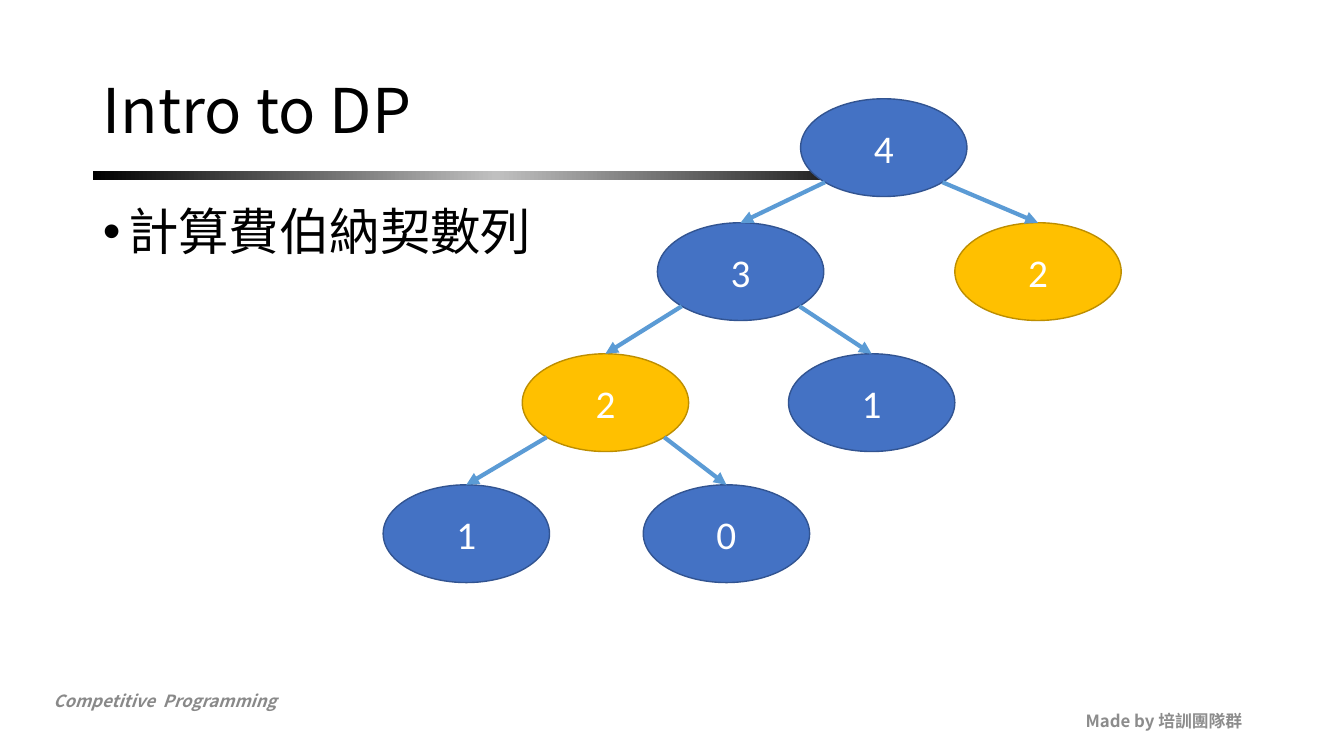
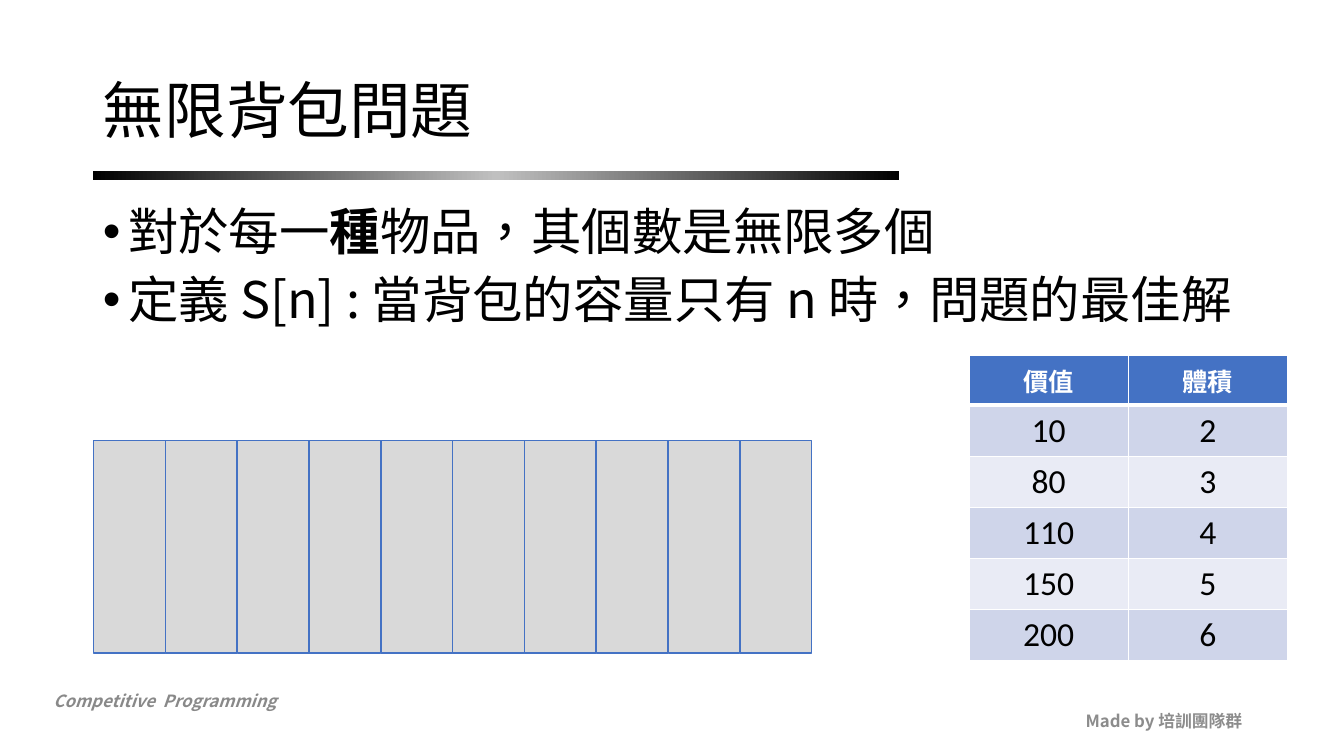
"""Build two slides on dynamic programming: a Fibonacci call tree and the unbounded knapsack."""
from lxml.etree import SubElement
from pptx import Presentation
from pptx.dml.color import RGBColor
from pptx.enum.shapes import MSO_CONNECTOR as Connector, MSO_SHAPE as Shape
from pptx.enum.text import MSO_ANCHOR as Anchor, MSO_AUTO_SIZE as AutoSize, PP_ALIGN as Align
from pptx.oxml.ns import qn
from pptx.util import Emu, Pt

PX = 9144
CJK, LATIN = "Noto Sans CJK SC", "Calibri"
BLACK, WHITE, BLUE, GOLD = "000000", "FFFFFF", "4472C4", "FFC000"
EDGES = {BLUE: "325491", GOLD: "BD8E00"}
ARROW, BOX_FILL = "5B9BD5", "D9D9D9"
BANDS = ("CFD5EA", "E9EBF5")

TITLE_AT, BODY_AT = (92, 40, 1150, 145), (92, 200, 1150, 476)
RULE_AT = (92, 170, 800, 9)
RULE_STOPS = [(0, BLACK), (50, "C0C0C0"), (100, BLACK)]
FOOTERS = [
    ("Competitive  Programming", (43, 680, 425, 30), Align.LEFT, Anchor.TOP, "898989", True),
    ("Made by 培訓團隊群", (942, 695, 300, 40), Align.RIGHT, Anchor.MIDDLE, "8C8C8C", False),
]

TREE_TITLE = "Intro to DP"
TREE_POINTS = [[("計算費伯納契數列", False)]]
NODE_SIZE = (165, 97)
NODES = {
    "root": ("4", 794, 98, BLUE),
    "right": ("2", 947, 221, GOLD),
    "left": ("3", 652, 221, BLUE),
    "left left": ("2", 518, 351, GOLD),
    "left right": ("1", 782, 351, BLUE),
    "leaf one": ("1", 380, 481, BLUE),
    "leaf zero": ("0", 638, 481, BLUE),
}
CALLS = [
    ("root", "left", "right"),
    ("left", "left left", "left right"),
    ("left left", "leaf one", "leaf zero"),
]

KNAPSACK_TITLE = "無限背包問題"
KNAPSACK_POINTS = [
    [("對於每一", False), ("種", True), ("物品，其個數是無限多個", False)],
    [("定義 S[n] : 當背包的容量只有 n 時，問題的最佳解", False)],
]
ITEMS = [("價值", "體積"), ("10", "2"), ("80", "3"), ("110", "4"), ("150", "5"), ("200", "6")]
TABLE_LEFT, TABLE_TOP, COLUMN_WIDTH, ROW_HEIGHT = 961, 353, 158, 49
BOX_COUNT, BOX_LEFT, BOX_LAST, BOX_TOP = 10, 93, 734, 437
BOX_SIZE = (71, 211)


def color(value):
    return RGBColor.from_string(value)


def px(*lengths):
    return [Emu(round(length * PX)) for length in lengths]


def apply(target, values):
    for name, value in values.items():
        setattr(target, name, value)


def place(shape, at):
    apply(shape, dict(zip(("left", "top", "width", "height"), px(*at))))


def write(para, text, size, ink, face=CJK, bold=False, italic=False):
    span = para.add_run()
    span.text = text
    apply(span.font, {"name": face, "size": Pt(size), "bold": bold, "italic": italic})
    span.font.color.rgb = color(ink)
    props = span._r.get_or_add_rPr()
    props.set("lang", "zh-TW")
    SubElement(props, qn("a:ea"), typeface=CJK)


def add_shape(page, kind, at, fill=None, edge=None):
    shape = page.shapes.add_shape(kind, *px(*at))
    shape.shadow.inherit = False
    if fill:
        shape.fill.solid()
        shape.fill.fore_color.rgb = color(fill)
    if edge:
        shape.line.color.rgb = color(edge)
        shape.line.width = Pt(1)
    else:
        shape.line.fill.background()
    return shape


def add_rule(page):
    rule = add_shape(page, Shape.RECTANGLE, RULE_AT)
    rule.fill.gradient()
    rule.fill.gradient_angle = 0
    stops = next(rule.element.iter(qn("a:gsLst")))
    stops.clear()
    for percent, ink in RULE_STOPS:
        stop = SubElement(stops, qn("a:gs"), pos=str(percent * 1000))
        SubElement(stop, qn("a:srgbClr"), val=ink)
    return rule


def add_footer(page, text, at, align, anchor, ink, italic):
    box = page.shapes.add_textbox(*px(*at))
    apply(box.text_frame, {"word_wrap": True, "vertical_anchor": anchor})
    para = box.text_frame.paragraphs[0]
    para.alignment = align
    write(para, text, 12, ink, bold=True, italic=italic)
    return box


def prepare_layout(layout):
    for holder in list(layout.placeholders):
        index = holder.placeholder_format.idx
        if index in (0, 1):
            place(holder, BODY_AT if index else TITLE_AT)
        else:
            layout.shapes.element.remove(holder.element)


def share_frame(page, layout):
    parts = [add_footer(page, *footer) for footer in FOOTERS] + [add_rule(page)]
    for part in parts:
        layout.shapes.element.append(part.element)


def fill_holder(holder, paragraphs, size, anchor, values):
    frame = holder.text_frame
    apply(frame, {"auto_size": AutoSize.NONE, "word_wrap": True, "vertical_anchor": anchor})
    for number, pieces in enumerate(paragraphs):
        para = frame.add_paragraph() if number else frame.paragraphs[0]
        apply(para, {"alignment": Align.LEFT, "line_spacing": 0.9, **values})
        for text, bold in pieces:
            write(para, text, size, BLACK, bold=bold)
    return frame


def add_page(deck, layout, title, points):
    page = deck.slides.add_slide(layout)
    fill_holder(page.shapes.title, [[(title, False)]], 44, Anchor.MIDDLE, {"space_before": Pt(0)})
    body = fill_holder(page.placeholders[1], points, 36, Anchor.TOP, {"space_before": Pt(10)})
    indent = px(25)[0]
    for para in body.paragraphs:
        props = para._p.get_or_add_pPr()
        props.set("marL", str(indent))
        props.set("indent", str(-indent))
        SubElement(props, qn("a:buFont"), typeface="Arial")
        SubElement(props, qn("a:buChar"), char="•")
    return page


def add_node(page, label, left, top, fill):
    node = add_shape(page, Shape.OVAL, (left, top, *NODE_SIZE), fill, EDGES[fill])
    node.text_frame.vertical_anchor = Anchor.MIDDLE
    para = node.text_frame.paragraphs[0]
    para.alignment = Align.CENTER
    write(para, label, 28, WHITE, LATIN)
    return node


def add_arrow(page, parent, child, side):
    reach = 0.5 ** 0.5 / 2
    start_x = round(parent.left + parent.width * (0.5 + side * reach))
    start_y = round(parent.top + parent.height * (0.5 + reach))
    arrow = page.shapes.add_connector(Connector.STRAIGHT, start_x, start_y, child.left, child.top)
    arrow.end_connect(child, 0)
    arrow.line.color.rgb = color(ARROW)
    arrow.line.width = Pt(3)
    SubElement(arrow.line._get_or_add_ln(), qn("a:tailEnd"), type="triangle")
    SubElement(arrow.element.spPr, qn("a:effectLst"))


def add_tree(page):
    nodes = {name: add_node(page, *node) for name, node in NODES.items()}
    for parent, *children in CALLS:
        for side, child in zip((-1, 1), children):
            add_arrow(page, nodes[parent], nodes[child], side)


def border_cell(cell, widths):
    props = cell._tc.get_or_add_tcPr()
    for index, (side, width) in enumerate(widths.items()):
        line = props.makeelement(qn(f"a:ln{side}"), w=str(Pt(width)))
        props.insert(index, line)
        SubElement(SubElement(line, qn("a:solidFill")), qn("a:srgbClr"), val=WHITE)


def add_items(page):
    rows, columns = len(ITEMS), len(ITEMS[0])
    at = (TABLE_LEFT, TABLE_TOP, COLUMN_WIDTH * columns, ROW_HEIGHT * rows)
    table = page.shapes.add_table(rows, columns, *px(*at)).table
    for row, values in enumerate(ITEMS):
        header = row == 0
        size, ink = (18, WHITE) if header else (24, BLACK)
        for column, value in enumerate(values):
            cell = table.cell(row, column)
            cell.vertical_anchor = Anchor.MIDDLE
            cell.fill.solid()
            cell.fill.fore_color.rgb = color(BLUE if header else BANDS[(row - 1) % 2])
            border_cell(cell, {"L": 1, "R": 1, "T": 3 if row == 1 else 1, "B": 3 if header else 1})
            para = cell.text_frame.paragraphs[0]
            para.alignment = Align.CENTER
            write(para, value, size, ink, LATIN, bold=header)


def add_boxes(page):
    step = (BOX_LAST - BOX_LEFT) / (BOX_COUNT - 1)
    for number in range(BOX_COUNT):
        at = (BOX_LEFT + number * step, BOX_TOP, *BOX_SIZE)
        add_shape(page, Shape.RECTANGLE, at, BOX_FILL, BLUE)


def main():
    deck = Presentation()
    deck.slide_width, deck.slide_height = px(1333, 750)
    layout = deck.slide_layouts[1]
    prepare_layout(layout)

    tree_page = add_page(deck, layout, TREE_TITLE, TREE_POINTS)
    share_frame(tree_page, layout)
    add_tree(tree_page)

    knapsack_page = add_page(deck, layout, KNAPSACK_TITLE, KNAPSACK_POINTS)
    add_items(knapsack_page)
    add_boxes(knapsack_page)

    deck.save("out.pptx")


if __name__ == "__main__":
    main()
